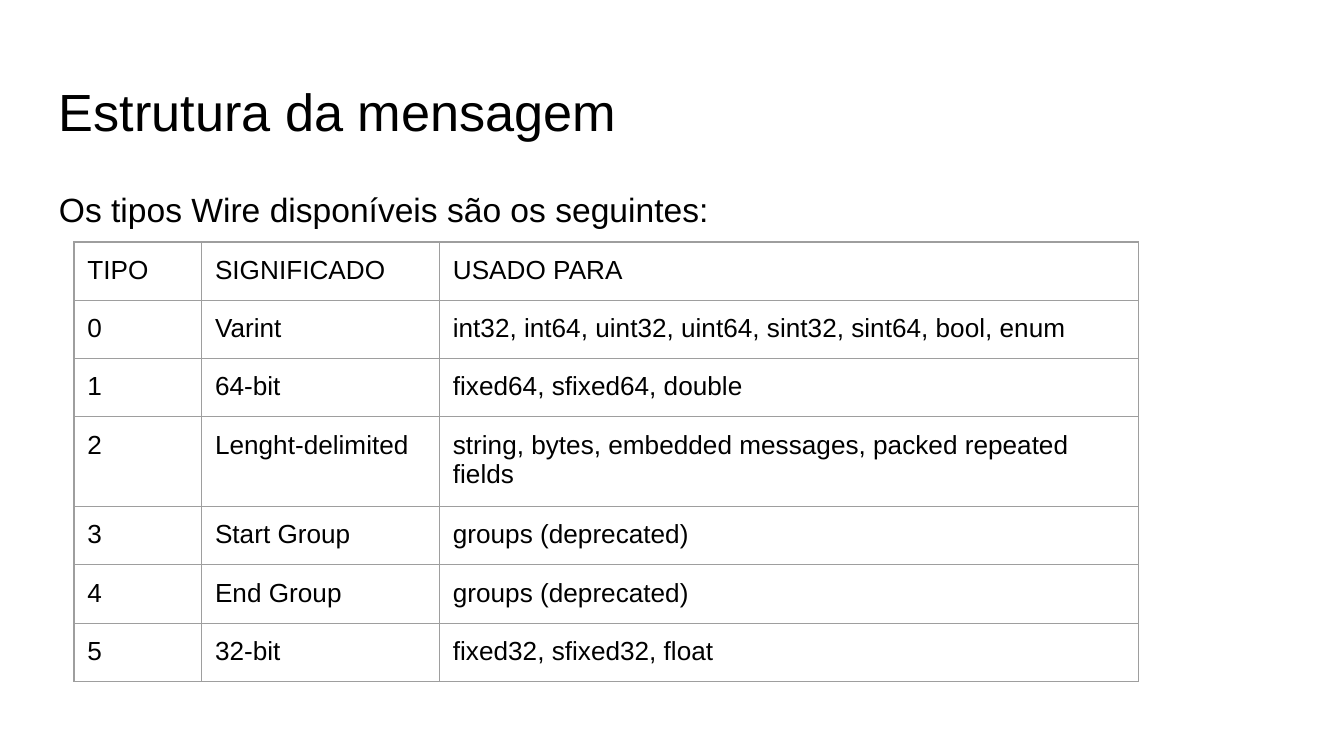
"""Build the slide listing the wire types of a message."""
from lxml import etree
from pptx import Presentation
from pptx.dml.color import RGBColor
from pptx.enum.text import MSO_ANCHOR
from pptx.oxml.ns import qn
from pptx.util import Pt

PX = 4572
TOP = MSO_ANCHOR.TOP
INSET = 20 * PX
FONT = "Arial"
COLORS = {"text": "000000", "border": "9E9E9E"}


def style(p, size):
    for r in p.runs:
        r.font.name = FONT
        r.font.size = Pt(size)
        r.font.color.rgb = RGBColor.from_string(COLORS["text"])


def add_border(cell, side):
    ln = etree.SubElement(cell._tc.get_or_add_tcPr(), qn(f"a:{side}"), w=str(Pt(0.75)))
    fill = etree.SubElement(ln, qn("a:solidFill"))
    etree.SubElement(fill, qn("a:srgbClr"), val=COLORS["border"])


prs = Presentation()
prs.slide_width = 2000 * PX
prs.slide_height = 1125 * PX
s = prs.slides.add_slide(prs.slide_layouts[6])

texts = [
    ("Estrutura da mensagem", 98, 126, 28, 1, 0),
    ("Os tipos Wire disponíveis são os seguintes:", 252, 748, 18, 1.15, 16),
]
for text, top, height, size, spacing, after in texts:
    sp = s.shapes.add_textbox(68 * PX, top * PX, 1864 * PX, height * PX)
    tf = sp.text_frame
    tf.word_wrap = True
    tf.vertical_anchor = TOP
    tf.margin_left = tf.margin_right = tf.margin_top = tf.margin_bottom = INSET
    p = tf.paragraphs[0]
    p.text = text
    p.line_spacing = spacing
    p.space_after = Pt(after)
    style(p, size)

rows = [
    ("TIPO", "SIGNIFICADO", "USADO PARA"),
    ("0", "Varint", "int32, int64, uint32, uint64, sint32, sint64, bool, enum"),
    ("1", "64-bit", "fixed64, sfixed64, double"),
    ("2", "Lenght-delimited", "string, bytes, embedded messages, packed repeated fields"),
    ("3", "Start Group", "groups (deprecated)"),
    ("4", "End Group", "groups (deprecated)"),
    ("5", "32-bit", "fixed32, sfixed32, float"),
]
widths = [190, 354, 1040]
row_height = 83
table = s.shapes.add_table(
    len(rows), len(widths), 110 * PX, 360 * PX,
    sum(widths) * PX, len(rows) * row_height * PX,
).table
table.first_row = False
table.horz_banding = False
for column, width in zip(table.columns, widths):
    column.width = width * PX
for row, values in zip(table.rows, rows):
    row.height = row_height * PX
    for cell, value in zip(row.cells, values):
        cell.text_frame.text = value
        cell.vertical_anchor = TOP
        cell.margin_left = cell.margin_right = INSET
        cell.margin_top = cell.margin_bottom = INSET
        style(cell.text_frame.paragraphs[0], 14)
        for side in ("lnL", "lnR", "lnT", "lnB"):
            add_border(cell, side)
        cell.fill.background()

prs.save("out.pptx")
